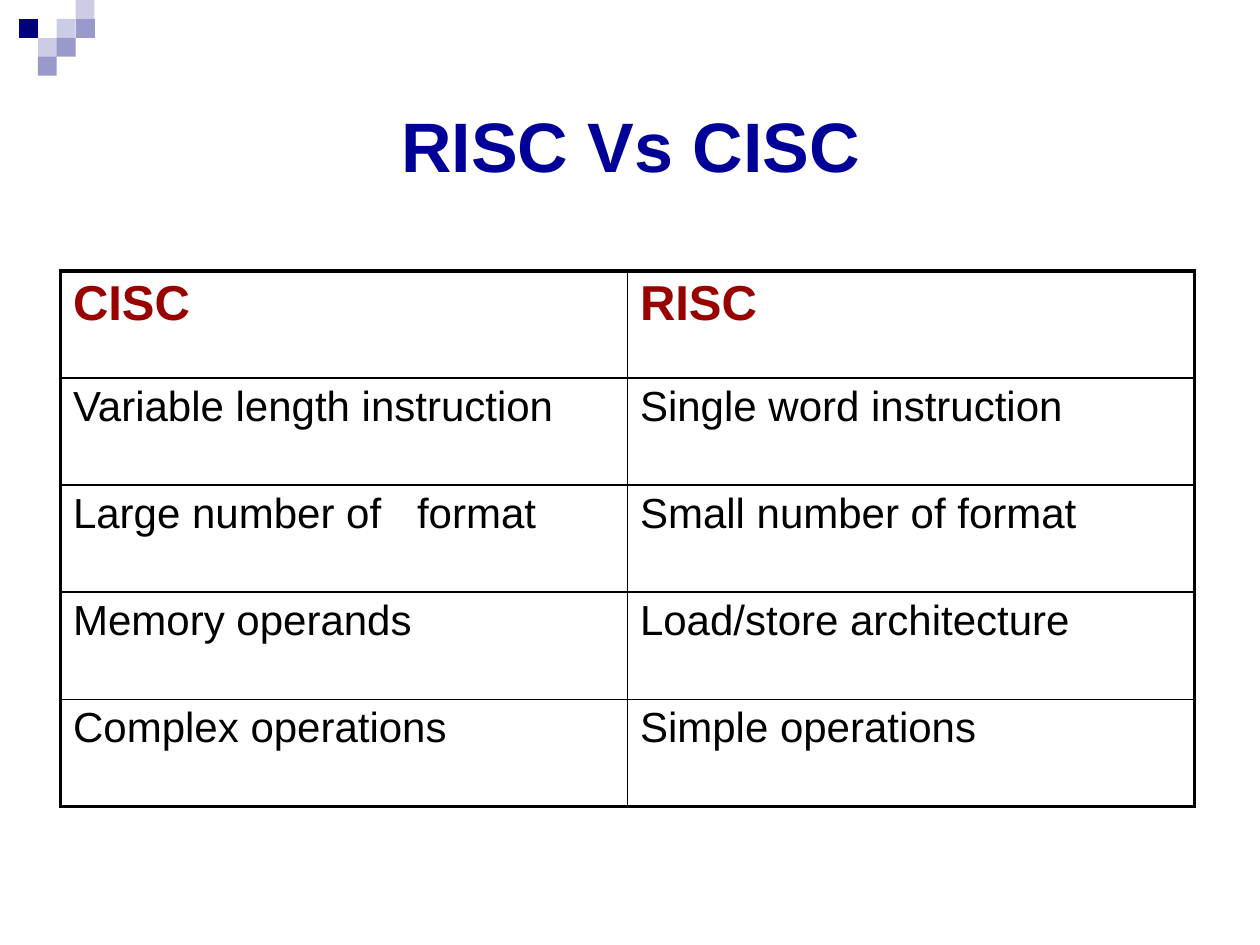
from dataclasses import dataclass

from lxml import etree
from pptx import Presentation
from pptx import util as u
from pptx.dml.color import RGBColor
from pptx.enum import text
from pptx.oxml import ns


@dataclass(frozen=True)
class Theme:
    """Colours, type sizes and line widths of the slide."""
    font: str = "Arial"
    title: str = "000099"
    heading: str = "990000"
    body: str = "000000"
    border: str = "000000"
    navy: str = "00007D"
    violet: str = "9999CC"
    lavender: str = "CCCCE6"
    title_size: int = 40
    heading_size: int = 28
    body_size: int = 24
    outer_line: float = 2.25
    inner_line: float = 1


THEME = Theme()
SQUARE = 0.15
SQUARE_GROUPS = [
    (THEME.lavender, [(3, 1), (4, 0)]),
    (THEME.violet, [(4, 1)]),
    (THEME.lavender, [(2, 2)]),
    (THEME.navy, [(1, 1)]),
    (THEME.violet, [(3, 2), (2, 3)]),
]
ROWS = [
    ("CISC", "RISC"),
    ("Variable length instruction", "Single word instruction"),
    ("Large number of\tformat", "Small number of format"),
    ("Memory operands", "Load/store architecture"),
    ("Complex operations", "Simple operations"),
]


def format_runs(paragraph, size, colour, bold):
    """Apply one font setting to every run of a paragraph."""
    for run in paragraph.runs:
        run.font.name = THEME.font
        run.font.size = u.Pt(size)
        run.font.bold = bold
        run.font.color.rgb = RGBColor.from_string(colour)


def add_squares(slide, colour, cells):
    """Draw squares of the corner grid as one freeform."""
    builder = None
    for column, row in cells:
        left, right = (u.Inches(SQUARE * n) for n in (column, column + 1))
        top, bottom = (u.Inches(SQUARE * n) for n in (row, row + 1))
        if builder is None:
            builder = slide.shapes.build_freeform(left, top)
        else:
            builder.move_to(left, top)
        builder.add_line_segments([(right, top), (right, bottom), (left, bottom)])
    shape = builder.convert_to_shape()
    shape.shadow.inherit = False
    shape.fill.solid()
    shape.fill.fore_color.rgb = RGBColor.from_string(colour)
    shape.line.fill.background()


def set_title(slide, wording):
    """Place and format the title placeholder."""
    title = slide.shapes.title
    title.left, title.top = u.Inches(0.56), u.Inches(0.51)
    title.width, title.height = u.Inches(8.89), u.Inches(0.99)
    frame = title.text_frame
    frame.text = wording
    frame.auto_size = text.MSO_AUTO_SIZE.NONE
    frame.vertical_anchor = text.MSO_ANCHOR.TOP
    frame.margin_left = frame.margin_right = frame.margin_bottom = 0
    frame.margin_top = u.Inches(0.3)
    paragraph = frame.paragraphs[0]
    paragraph.alignment = text.PP_ALIGN.CENTER
    paragraph.space_before = u.Pt(0.9)
    format_runs(paragraph, THEME.title_size, THEME.title, True)


def set_borders(cell, outer_sides):
    """Give a cell thick lines on its outer sides and thin ones elsewhere."""
    properties = cell._tc.get_or_add_tcPr()
    for side in "LRTB":
        width = THEME.outer_line if side in outer_sides else THEME.inner_line
        line = etree.SubElement(properties, ns.qn(f"a:ln{side}"), w=str(u.Pt(width)))
        fill = etree.SubElement(line, ns.qn("a:solidFill"))
        etree.SubElement(fill, ns.qn("a:srgbClr"), val=THEME.border)


def add_tab_stop(paragraph, position):
    """Add a left tab stop to a paragraph."""
    tabs = etree.SubElement(paragraph._p.get_or_add_pPr(), ns.qn("a:tabLst"))
    etree.SubElement(tabs, ns.qn("a:tab"), pos=str(u.Inches(position)), algn="l")


def fill_cell(cell, wording, is_heading):
    """Write and format the text of one cell."""
    cell.fill.background()
    cell.margin_left, cell.margin_top = u.Inches(0.1), u.Inches(0.04)
    cell.margin_right = cell.margin_bottom = 0
    paragraph = cell.text_frame.paragraphs[0]
    paragraph.text = wording
    paragraph.space_before = u.Pt(3)
    if "\t" in wording:
        add_tab_stop(paragraph, 2.73)
    if is_heading:
        format_runs(paragraph, THEME.heading_size, THEME.heading, True)
    else:
        format_runs(paragraph, THEME.body_size, THEME.body, False)


def add_comparison_table(slide, rows):
    """Add the two-column comparison table."""
    last_row, last_column = len(rows) - 1, len(rows[0]) - 1
    table = slide.shapes.add_table(
        len(rows), len(rows[0]),
        u.Inches(0.48), u.Inches(2.15), u.Inches(9), u.Inches(0.85 * len(rows)),
    ).table
    table.first_row = table.horz_banding = False
    for r, row in enumerate(rows):
        for c, wording in enumerate(row):
            edges = {"L": c == 0, "R": c == last_column, "T": r == 0, "B": r == last_row}
            cell = table.cell(r, c)
            set_borders(cell, [side for side, is_outer in edges.items() if is_outer])
            fill_cell(cell, wording, r == 0)


def main():
    """Build the slide and save it."""
    presentation = Presentation()
    presentation.slide_width, presentation.slide_height = u.Inches(10), u.Inches(7.5)
    slide = presentation.slides.add_slide(presentation.slide_layouts[5])
    for colour, cells in SQUARE_GROUPS:
        add_squares(slide, colour, cells)
    set_title(slide, "RISC Vs CISC")
    add_comparison_table(slide, ROWS)
    presentation.save("out.pptx")


if __name__ == "__main__":
    main()
